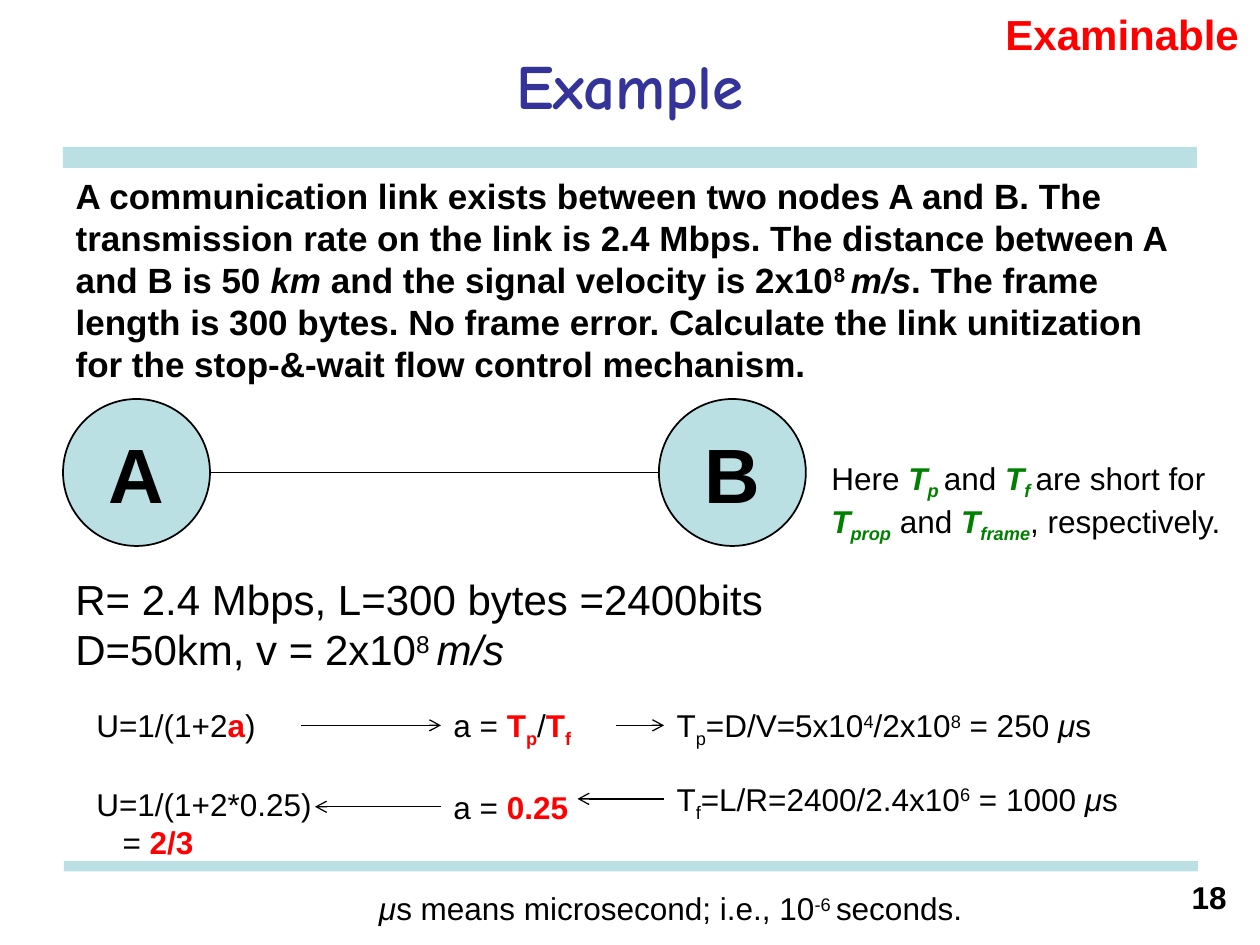
from dataclasses import dataclass

import pptx
import pptx.util
import pptx.dml.color
import pptx.enum.shapes
import pptx.enum.text
import pptx.oxml
import pptx.oxml.ns
import pptx.shapes.autoshape
import pptx.slide
import pptx.text.text

Pt = pptx.util.Pt
RGBColor = pptx.dml.color.RGBColor
Align = pptx.enum.text.PP_ALIGN
Shape = pptx.enum.shapes.MSO_SHAPE

BLACK = RGBColor(0x00, 0x00, 0x00)
RED = RGBColor(0xFF, 0x00, 0x00)
GREEN = RGBColor(0x00, 0x80, 0x00)
INDIGO = RGBColor(0x33, 0x33, 0x99)
PALE_TEAL = RGBColor(0xBB, 0xE0, 0xE3)
FONT = "Arial"
TITLE_FONT = "Comic Neue"
SUPER, SUB = 30000, -25000


@dataclass(frozen=True)
class Span:
    text: str
    color: RGBColor | None = None
    bold: bool | None = None
    italic: bool | None = None
    baseline: int = 0


@dataclass(frozen=True)
class Line:
    spans: tuple[Span, ...]
    indent: float = 0


@dataclass(frozen=True)
class Label:
    left: float
    top: float
    width: float
    height: float
    lines: tuple[Line, ...]
    size: float = 18
    color: RGBColor = BLACK
    bold: bool = False
    align: Align = Align.LEFT
    wrap: bool = True


@dataclass(frozen=True)
class Node:
    name: str
    left: float


@dataclass(frozen=True)
class Arrow:
    start: float
    end: float
    y: float


def line(*spans: Span | str, indent: float = 0) -> Line:
    return Line(tuple(Span(s) if isinstance(s, str) else s for s in spans), indent)


def raised(text: str) -> Span:
    return Span(text, baseline=SUPER)


def lowered(text: str) -> Span:
    return Span(text, baseline=SUB)


def italic(text: str) -> Span:
    return Span(text, italic=True)


def red(text: str, baseline: int = 0) -> Span:
    return Span(text, RED, True, baseline=baseline)


def green(text: str, baseline: int = 0) -> Span:
    return Span(text, GREEN, True, True, baseline)


QUESTION = line(
    "A communication link exists between two nodes A and B. The transmission rate on the link "
    "is 2.4 Mbps. The distance between A and B is 50 ", italic("km"),
    " and the signal velocity is 2x10", raised("8 "), italic("m/s"),
    ". The frame length is 300 bytes. No frame error. Calculate the link unitization for the "
    "stop-&-wait flow control mechanism.")

LABELS = (
    Label(660, 498, 48, 30, (line("18"),), bold=True, align=Align.RIGHT),
    Label(36, 324, 444, 65.5, (
        line("R= 2.4 Mbps, L=300 bytes =2400bits"),
        line("D=50km, v = 2x10", raised("8 "), italic("m/s"))), size=24),
    Label(48, 400, 124, 29, (line("U=1/(1+2", red("a"), ")"),)),
    Label(252, 400, 86.5, 29, (
        line("a = ", red("T"), red("p", SUB), "/", red("T"), red("f", SUB)),)),
    Label(379.5, 400, 275, 29, (
        line("T", lowered("p"), "=D/V=5x10", raised("4"), "/2x10", raised("8"),
             " = 250 ", italic("μ"), "s"),)),
    Label(379.5, 442, 275, 29, (
        line("T", lowered("f"), "=L/R=2400/2.4x10", raised("6"),
             " = 1000 ", italic("μ"), "s"),)),
    Label(252, 446.5, 86.5, 29, (line("a = ", red("0.25")),)),
    Label(48, 445, 144, 51, (
        line("U=1/(1+2*0.25)"), line("= ", red("2/3"), indent=15))),
    Label(468, 258.5, 252, 51, (
        line("Here ", green("T"), green("p ", SUB), "and ", green("T"), green("f ", SUB),
             "are short for"),
        line(green("T"), green("prop", SUB), " and ", green("T"), green("frame", SUB),
             ", respectively.")), wrap=False),
    Label(209.5, 504.5, 354, 29, (
        line(italic("μ"), "s means microsecond; i.e., 10", raised("-6 "), "seconds."),),
        wrap=False),
    Label(567.5, 1.5, 210, 36, (line("Examinable"),), size=24, color=RED, bold=True),
)

NODE_SIZE, NODE_TOP = 84, 228
NODES = (Node("A", 36), Node("B", 376.5))
ARROWS = (Arrow(172, 252, 414.5), Arrow(352, 379.5, 414.5),
          Arrow(379.5, 330, 456.5), Arrow(252, 180, 461))


def write_line(para: pptx.text.text._Paragraph, content: Line, size: float, color: RGBColor,
               bold: bool, align: Align, font: str = FONT) -> None:
    para.alignment = align
    para.font.name = font
    para.font.size = Pt(size)
    para.font.bold = bold
    para.font.color.rgb = color
    if content.indent:
        para._p.get_or_add_pPr().set("marL", str(Pt(content.indent)))
    for item in content.spans:
        span = para.add_run()
        span.text = item.text
        span.font.name = font
        span.font.size = Pt(size)
        span.font.bold = bold if item.bold is None else item.bold
        span.font.italic = item.italic
        span.font.color.rgb = item.color or color
        if item.baseline:
            span._r.get_or_add_rPr().set("baseline", str(item.baseline))


def draw_label(page: pptx.slide.Slide, label: Label) -> None:
    box = page.shapes.add_textbox(Pt(label.left), Pt(label.top), Pt(label.width), Pt(label.height))
    frame = box.text_frame
    frame.word_wrap = label.wrap
    for index, content in enumerate(label.lines):
        para = frame.add_paragraph() if index else frame.paragraphs[0]
        write_line(para, content, label.size, label.color, label.bold, label.align)


def draw_shape(page: pptx.slide.Slide, kind: Shape, left: float, top: float, width: float,
               height: float) -> pptx.shapes.autoshape.Shape:
    shape = page.shapes.add_shape(kind, Pt(left), Pt(top), Pt(width), Pt(height))
    shape.shadow.inherit = False
    shape.fill.solid()
    shape.fill.fore_color.rgb = PALE_TEAL
    shape.line.fill.background()
    return shape


def draw_node(page: pptx.slide.Slide, node: Node) -> None:
    circle = draw_shape(page, Shape.OVAL, node.left, NODE_TOP, NODE_SIZE, NODE_SIZE)
    circle.line.color.rgb = BLACK
    circle.line.width = Pt(1)
    circle.text_frame.word_wrap = False
    write_line(circle.text_frame.paragraphs[0], line(node.name), 44, BLACK, True, Align.CENTER)


def draw_connector(page: pptx.slide.Slide, start: float, end: float, y: float, width: float,
                   arrowhead: bool) -> None:
    connector = page.shapes.add_connector(
        pptx.enum.shapes.MSO_CONNECTOR.STRAIGHT, Pt(start), Pt(y), Pt(end), Pt(y))
    connector.line.color.rgb = BLACK
    connector.line.width = Pt(width)
    properties = connector._element.spPr
    namespace = pptx.oxml.ns.nsdecls("a")
    if arrowhead:
        properties.find(pptx.oxml.ns.qn("a:ln")).append(
            pptx.oxml.parse_xml(f'<a:tailEnd {namespace} type="arrow"/>'))
    properties.append(pptx.oxml.parse_xml(f"<a:effectLst {namespace}/>"))


def fill_placeholders(page: pptx.slide.Slide) -> None:
    title, body = page.shapes.title, page.placeholders[1]
    for holder, top, height in ((title, 12, 72), (body, 96, 132)):
        holder.left, holder.top, holder.width, holder.height = Pt(36), Pt(top), Pt(648), Pt(height)
        holder.text_frame.auto_size = pptx.enum.text.MSO_AUTO_SIZE.NONE
    write_line(title.text_frame.paragraphs[0], line("Example"), 36, INDIGO, True, Align.CENTER,
               TITLE_FONT)
    para = body.text_frame.paragraphs[0]
    write_line(para, QUESTION, 20, BLACK, True, Align.LEFT)
    para.space_before = Pt(4)
    properties = para._p.get_or_add_pPr()
    properties.set("marL", "0")
    properties.set("indent", "0")
    bullet = pptx.oxml.parse_xml(f'<a:buNone {pptx.oxml.ns.nsdecls("a")}/>')
    properties.find(pptx.oxml.ns.qn("a:spcBef")).addnext(bullet)


def main() -> None:
    deck = pptx.Presentation()
    deck.slide_width, deck.slide_height = Pt(720), Pt(540)
    page = deck.slides.add_slide(deck.slide_layouts[1])
    draw_shape(page, Shape.RECTANGLE, 36, 84, 648, 12)
    draw_shape(page, Shape.RECTANGLE, 36.5, 492, 648, 6)
    fill_placeholders(page)
    for node in NODES:
        draw_node(page, node)
    draw_connector(page, NODES[0].left + NODE_SIZE, NODES[1].left, NODE_TOP + NODE_SIZE / 2, 1, False)
    for label in LABELS:
        draw_label(page, label)
    for arrow in ARROWS:
        draw_connector(page, arrow.start, arrow.end, arrow.y, 0.75, True)
    deck.save("out.pptx")


if __name__ == "__main__":
    main()
